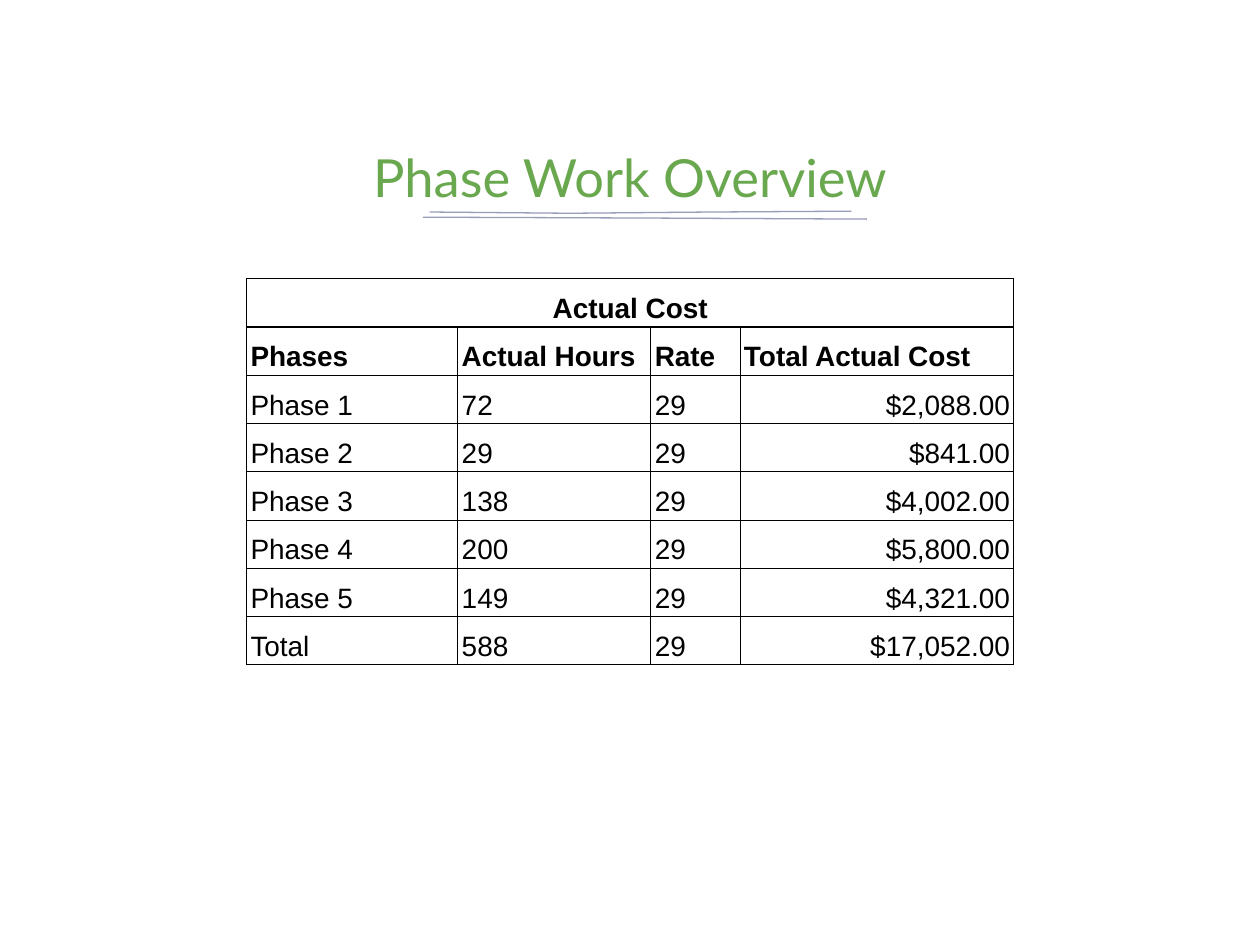
from lxml.etree import SubElement
from pptx import Presentation
from pptx.dml.color import RGBColor
from pptx.enum.text import MSO_ANCHOR, PP_ALIGN
from pptx.oxml.ns import qn
from pptx.util import Pt

GREEN = RGBColor(0x6A, 0xA8, 0x4F)
MAUVE = RGBColor(0x97, 0x9C, 0xB8)
BLACK = RGBColor(0, 0, 0)

WIDTHS = [120.7, 110.3, 51, 156.5]
HEIGHT = 27.6
HEADS = ["Phases", "Actual Hours", "Rate", "Total Actual Cost"]
COSTS = [
    ["Phase 1", "72", "29", "$2,088.00"],
    ["Phase 2", "29", "29", "$841.00"],
    ["Phase 3", "138", "29", "$4,002.00"],
    ["Phase 4", "200", "29", "$5,800.00"],
    ["Phase 5", "149", "29", "$4,321.00"],
    ["Total", "588", "29", "$17,052.00"],
]
STROKES = [
    [(245.6, 121.2), (326, 121.9), (406, 121.2), (486.6, 120.7)],
    [(241.7, 124.1), (368, 124.6), (495.4, 125.2)],
]


def write(frame, text, font, size, color, align, bold=False):
    """Write one run into the first paragraph of a text frame."""
    para = frame.paragraphs[0]
    para.alignment = align
    run = para.add_run()
    run.text = text
    run.font.name = font
    run.font.size = Pt(size)
    run.font.bold = bold
    run.font.color.rgb = color
    return para


def add_title(slide, text):
    """Add the centred slide title."""
    box = slide.shapes.add_textbox(Pt(81), Pt(54), Pt(558), Pt(72))
    frame = box.text_frame
    frame.word_wrap = True
    frame.vertical_anchor = MSO_ANCHOR.BOTTOM
    frame.margin_left = frame.margin_right = Pt(7.2)
    frame.margin_top = frame.margin_bottom = Pt(7.2)
    write(frame, text, "Lato", 30, GREEN, PP_ALIGN.CENTER)


def add_stroke(slide, points):
    """Add one open underline stroke through the points."""
    start, *rest = [(Pt(x), Pt(y)) for x, y in points]
    pen = slide.shapes.build_freeform(*start)
    pen.add_line_segments(rest, close=False)
    shape = pen.convert_to_shape()
    shape.shadow.inherit = False
    shape.fill.background()
    shape.line.color.rgb = MAUVE
    shape.line.width = Pt(0.75)


def add_edges(cell):
    """Draw thin black borders on all sides of a cell."""
    props = cell._tc.get_or_add_tcPr()
    for side in ("a:lnL", "a:lnR", "a:lnT", "a:lnB"):
        line = SubElement(props, qn(side), w=str(Pt(0.75)))
        fill = SubElement(line, qn("a:solidFill"))
        SubElement(fill, qn("a:srgbClr"), val=str(BLACK))


def style_cell(cell):
    """Set the margins, anchor, borders and fill of a cell."""
    cell.margin_left = cell.margin_right = Pt(2.25)
    cell.margin_top = cell.margin_bottom = Pt(1.5)
    cell.vertical_anchor = MSO_ANCHOR.BOTTOM
    add_edges(cell)
    cell.fill.background()


def add_costs(slide):
    """Add the cost table with its merged heading row."""
    rows = [["Actual Cost"], HEADS, *COSTS]
    table = slide.shapes.add_table(
        len(rows), len(WIDTHS), Pt(140.9), Pt(159.3),
        Pt(sum(WIDTHS)), Pt(HEIGHT * len(rows))).table
    table.first_row = table.horz_banding = False
    for col, width in zip(table.columns, WIDTHS):
        col.width = Pt(width)
    for row in table.rows:
        row.height = Pt(HEIGHT)
    for cell in table.iter_cells():
        style_cell(cell)
    table.cell(0, 0).merge(table.cell(0, len(WIDTHS) - 1))
    for r, row in enumerate(rows):
        for c, text in enumerate(row):
            align = PP_ALIGN.LEFT
            if r == 0:
                align = PP_ALIGN.CENTER
            elif r > 1 and c == len(WIDTHS) - 1:
                align = PP_ALIGN.RIGHT
            frame = table.cell(r, c).text_frame
            para = write(frame, text, "Arial", 16, BLACK, align, r < 2)
            para.line_spacing = 1.15


def main():
    """Build and save the slide."""
    deck = Presentation()
    deck.slide_width, deck.slide_height = Pt(720), Pt(540)
    slide = deck.slides.add_slide(deck.slide_layouts[6])
    for points in STROKES:
        add_stroke(slide, points)
    add_title(slide, "Phase Work Overview")
    add_costs(slide)
    deck.save("out.pptx")


if __name__ == "__main__":
    main()
